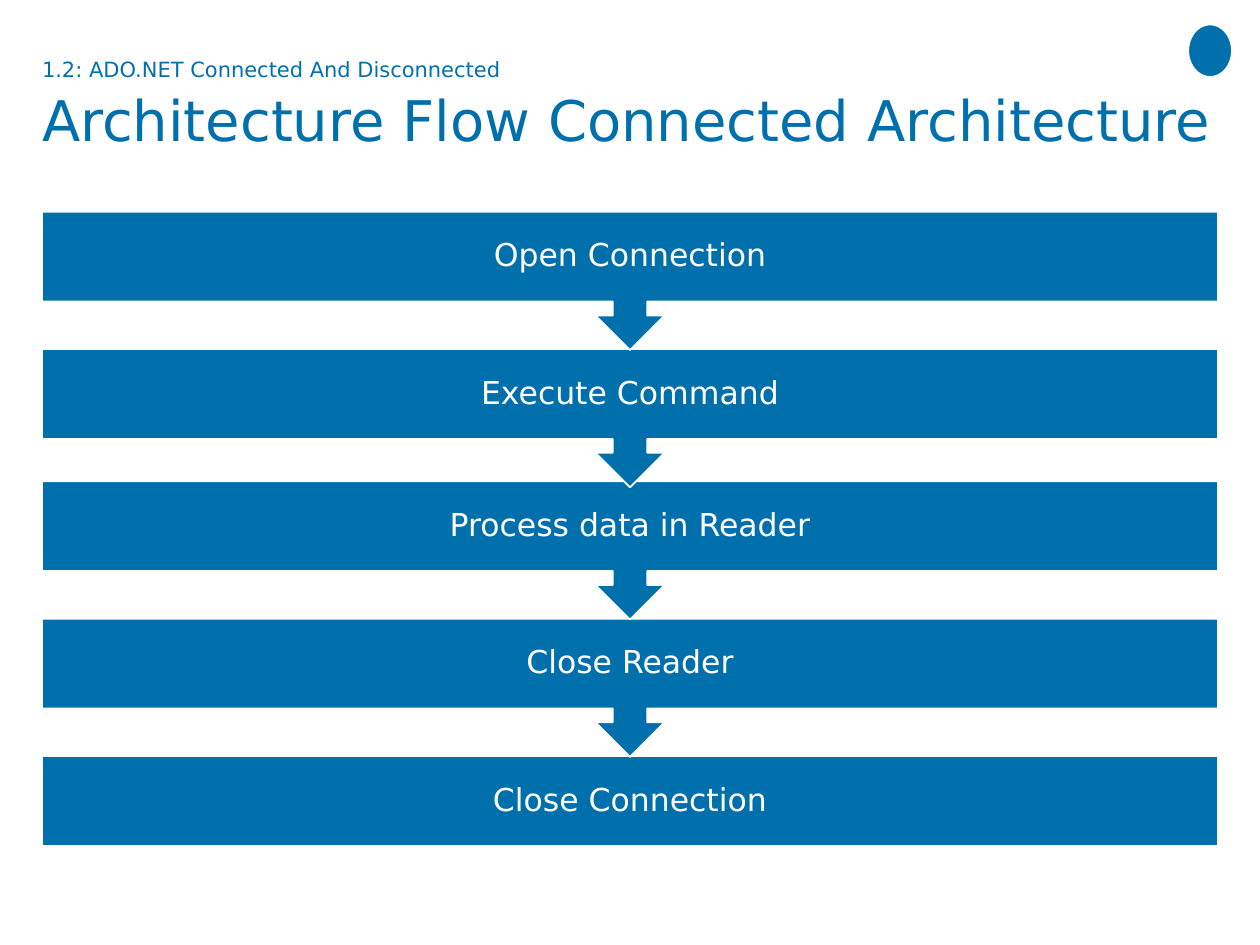
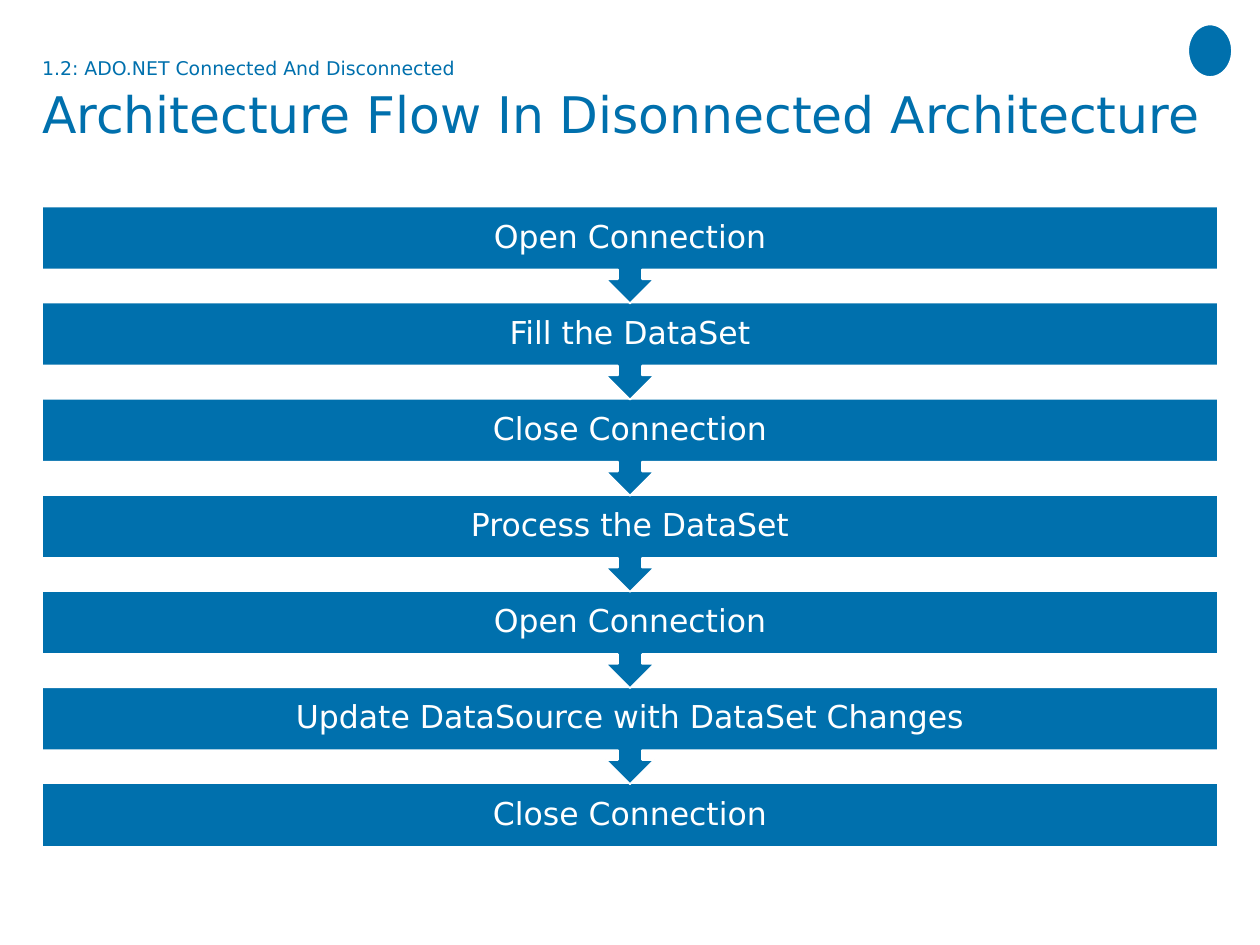
"""Build two slides comparing the connected and disconnected ADO.NET flows."""
from dataclasses import dataclass

import pptx
import pptx.dml.color
import pptx.enum.shapes
import pptx.enum.text
import pptx.util

Pt = pptx.util.Pt
RGB = pptx.dml.color.RGBColor.from_string
SHAPE = pptx.enum.shapes.MSO_SHAPE
ALIGN = pptx.enum.text.PP_ALIGN
ANCHOR = pptx.enum.text.MSO_ANCHOR


@dataclass(frozen=True)
class Theme:
    blue: str = "0070AD"
    white: str = "FFFFFF"
    font: str = "DejaVu Sans"
    section_size: float = 12
    title_size: float = 32
    step_size: float = 18


theme = Theme()
left, width = 24, 672
section = "1.2: ADO.NET Connected And Disconnected"
flows = [
    {
        "title": "Architecture Flow Connected Architecture",
        "title_scale": 1,
        "steps": ["Open Connection", "Execute Command", "Process data in Reader",
                  "Close Reader", "Close Connection"],
        "tops": [121, 199.5, 275, 353.5, 432],
        "callout_height": 79,
        "bar_height": 51.5,
    },
    {
        "title": "Architecture Flow In Disonnected Architecture",
        "title_scale": 0.9,
        "steps": ["Open Connection", "Fill the DataSet", "Close Connection",
                  "Process the DataSet", "Open Connection",
                  "Update DataSource with DataSet Changes", "Close Connection"],
        "tops": [118 + 54.95 * i for i in range(7)],
        "callout_height": 55.4,
        "bar_height": 36,
    },
]


def write(p, text, size, color, **paragraph_format):
    for name, value in paragraph_format.items():
        setattr(p, name, value)
    r = p.add_run()
    r.text = text
    for name, value in {"name": theme.font, "size": Pt(size)}.items():
        setattr(r.font, name, value)
    r.font.color.rgb = RGB(color)


def add_blue_shape(s, kind, x, y, w, h):
    sp = s.shapes.add_shape(kind, Pt(x), Pt(y), Pt(w), Pt(h))
    sp.shadow.inherit = False
    sp.fill.solid()
    sp.fill.fore_color.rgb = RGB(theme.blue)
    sp.line.color.rgb = RGB(theme.white)
    sp.line.width = Pt(1)
    return sp


prs = pptx.Presentation()
prs.slide_width, prs.slide_height = Pt(720), Pt(540)
no_margins = dict.fromkeys(
    ["margin_left", "margin_top", "margin_right", "margin_bottom"], 0)

for flow in flows:
    s = prs.slides.add_slide(prs.slide_layouts[6])
    add_blue_shape(s, SHAPE.OVAL, 679, 14, 25, 30)

    tf = s.shapes.add_textbox(Pt(left), Pt(32.5), Pt(width), Pt(67.5)).text_frame
    for name, value in {"word_wrap": True, **no_margins}.items():
        setattr(tf, name, value)
    scale = flow["title_scale"]
    write(tf.paragraphs[0], section, theme.section_size * scale, theme.blue,
          space_after=Pt(2))
    write(tf.add_paragraph(), flow["title"], theme.title_size * scale, theme.blue)

    last = len(flow["steps"]) - 1
    for i in range(last, -1, -1):
        if i == last:
            kind, height = SHAPE.RECTANGLE, flow["bar_height"]
        else:
            kind, height = SHAPE.DOWN_ARROW_CALLOUT, flow["callout_height"]
        sp = add_blue_shape(s, kind, left, flow["tops"][i], width, height)
        tf = sp.text_frame
        frame_format = {"word_wrap": True, "vertical_anchor": ANCHOR.MIDDLE, **no_margins}
        for name, value in frame_format.items():
            setattr(tf, name, value)
        write(tf.paragraphs[0], flow["steps"][i], theme.step_size, theme.white,
              alignment=ALIGN.CENTER, line_spacing=0.9)

prs.save("out.pptx")
